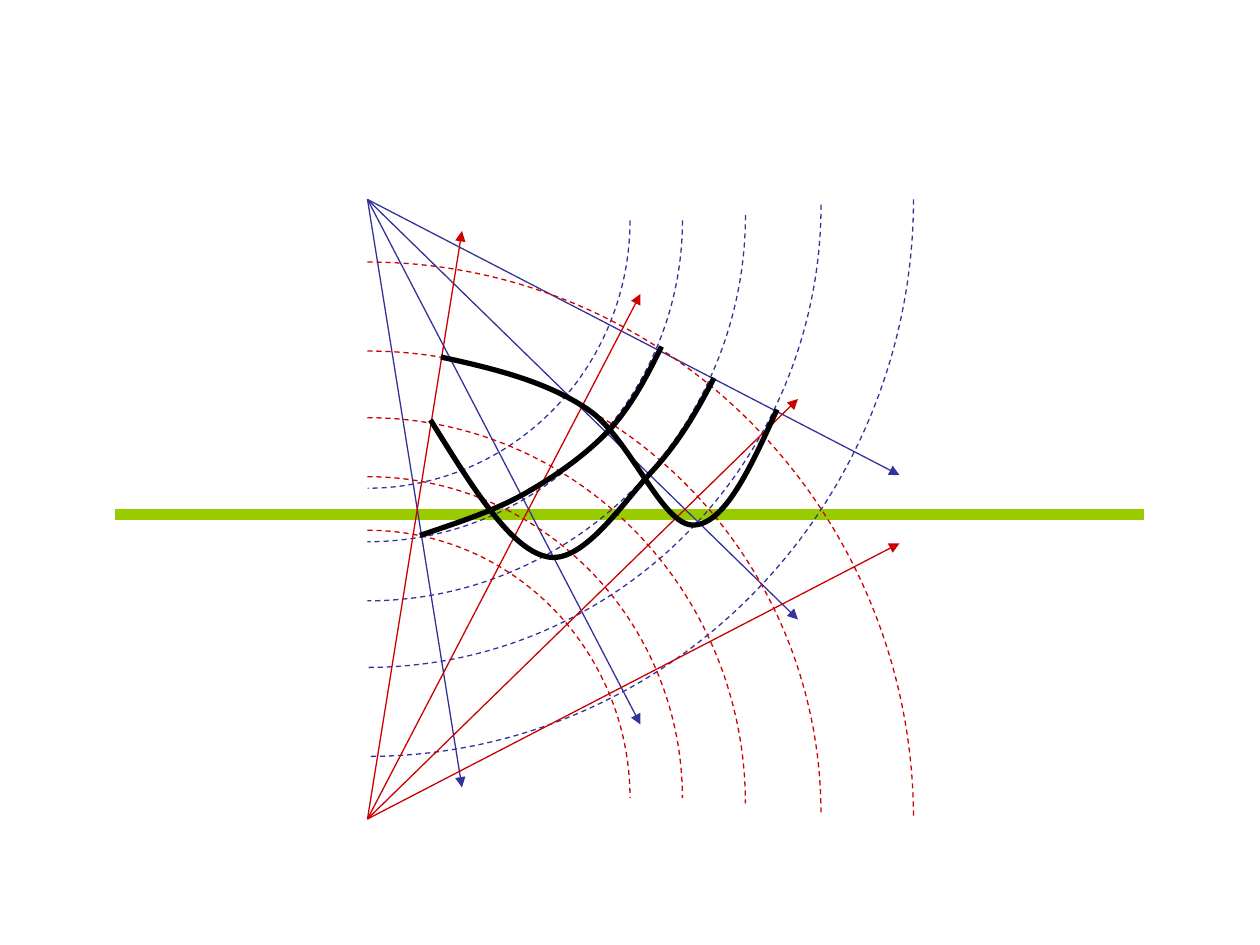
from lxml.etree import SubElement
from pptx import Presentation
from pptx.dml.color import RGBColor
from pptx.enum.dml import MSO_LINE
from pptx.enum.shapes import MSO_CONNECTOR, MSO_SHAPE
from pptx.oxml.ns import qn
from pptx.util import Inches, Pt

GREEN = RGBColor(0x99, 0xCC, 0x00)
BLUE = RGBColor(0x33, 0x33, 0x99)
RED = RGBColor(0xCC, 0x00, 0x00)
BLACK = RGBColor(0x00, 0x00, 0x00)

CELL = Inches(1) / 12  # all positions below count cells of a 120 x 90 grid

UPPER_APEX = (35, 19)
LOWER_APEX = (35, 78)

# Horizontal radius, and distance of the centre from the apex
RINGS = [(36, 1.5), (30, 2), (25, 2), (43.2, 0.5), (52, 0)]
RING_ASPECT = 1.02
RAYS = [(9, 56), (26, 50), (41, 40), (50.67, 26.25)]

# Start point, then two control points and an end point for each segment
WAVES = [
    [(68, 36), (66.4, 39.1), (64.7, 42.1), (62, 45), (59.3, 47.9),
     (55.4, 53.9), (52, 53), (48.5, 52.2), (44.8, 46.1), (41, 40)],
    [(63, 33), (61.6, 35.9), (60.1, 38.7), (58, 41), (55.8, 43.3),
     (53, 45.3), (50, 47), (47, 48.7), (43.5, 49.8), (40, 51)],
    [(74, 39), (71.5, 44.5), (69, 50), (66, 50), (63, 50),
     (60, 41.7), (56, 39), (52, 36.3), (47, 35.1), (42, 34)],
]


def cells(*counts):
    return [round(count * CELL) for count in counts]


def style_line(shape, color, width):
    shape.line.color.rgb = color
    shape.line.width = Pt(width)


def add_line(shapes, start, end, color, width, arrow=False):
    line = shapes.add_connector(MSO_CONNECTOR.STRAIGHT, *cells(*start, *end))
    style_line(line, color, width)
    if arrow:
        SubElement(line.line._get_or_add_ln(), qn("a:tailEnd"), type="triangle")
    SubElement(line._element.spPr, qn("a:effectLst"))


def add_ring(shapes, center, radius, angles, color):
    """Draw a dashed quarter ellipse between two angles in degrees."""
    x, y = center
    height = radius * RING_ASPECT
    ring = shapes.add_shape(
        MSO_SHAPE.ARC, *cells(x - radius, y - height, 2 * radius, 2 * height))
    for index, angle in enumerate(angles):
        ring.adjustments[index] = angle * 60000 / 100000
    ring.fill.background()
    ring.shadow.inherit = False
    style_line(ring, color, 0.75)
    ring.line.dash_style = MSO_LINE.DASH


def add_fan(page, apex, direction, color):
    """Group the rings and rays of one apex; direction 1 opens down, -1 up."""
    shapes = page.shapes.add_group_shape().shapes
    x, y = apex
    angles = (0, 90) if direction > 0 else (270, 0)
    for radius, offset in RINGS:
        add_ring(shapes, (x, y + direction * offset), radius, angles, color)
    for across, along in RAYS:
        end = (x + across, y + direction * along)
        add_line(shapes, apex, end, color, 0.75, arrow=True)


def add_wave(page, points):
    """Draw a smooth curve through every third point."""
    start, *others = [cells(*point) for point in points]
    builder = page.shapes.build_freeform(*start)
    builder.add_line_segments(others, close=False)
    wave = builder.convert_to_shape()
    outline = wave._element.find(".//" + qn("a:path"))
    steps = outline.findall(qn("a:lnTo"))
    for first in range(0, len(steps), 3):
        curve = SubElement(outline, qn("a:cubicBezTo"))
        for step in steps[first:first + 3]:
            curve.append(step[0])
            outline.remove(step)
    wave.fill.background()
    wave.shadow.inherit = False
    style_line(wave, BLACK, 3)


def main():
    deck = Presentation()
    deck.slide_width, deck.slide_height = cells(120, 90)
    page = deck.slides.add_slide(deck.slide_layouts[6])
    add_line(page.shapes, (11, 49), (109, 49), GREEN, 6)
    add_fan(page, UPPER_APEX, 1, BLUE)
    add_fan(page, LOWER_APEX, -1, RED)
    for points in WAVES:
        add_wave(page, points)
    deck.save("out.pptx")


if __name__ == "__main__":
    main()
